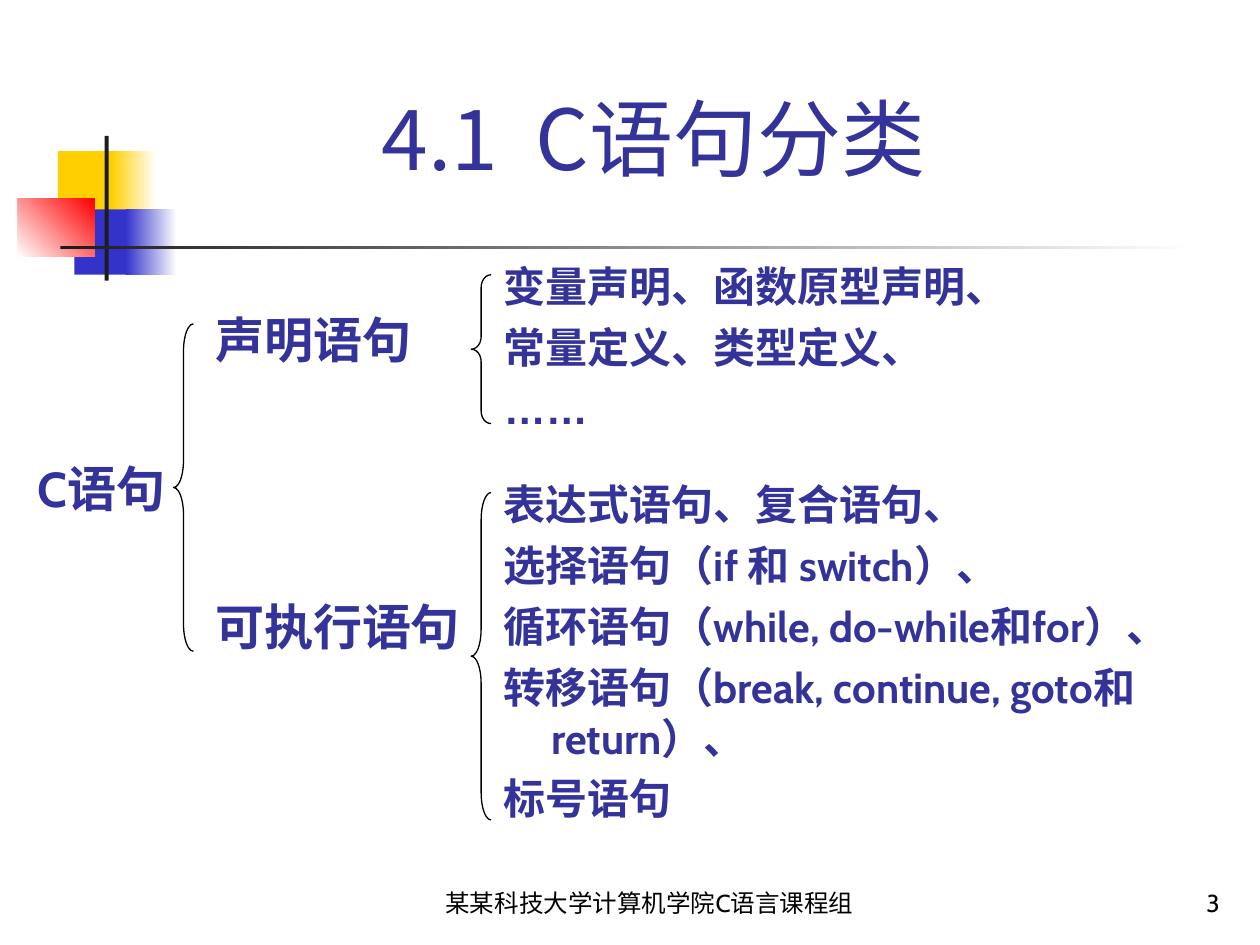
"""Build the slide that classifies C statements with nested braces."""
from pptx import Presentation
from pptx import util as u
from pptx.dml.color import RGBColor
from pptx.enum import lang, shapes, text


def rgb(value):
    return RGBColor.from_string(value)


def write(tf, lines, size, color, font="Cabin", bold=False, align="LEFT", anchor="TOP", before=0, hang=0):
    tf.word_wrap = True
    tf.auto_size = text.MSO_AUTO_SIZE.NONE
    tf.vertical_anchor = text.MSO_ANCHOR[anchor]
    for i, line in enumerate(lines):
        p = tf.add_paragraph() if i else tf.paragraphs[0]
        p.alignment = text.PP_ALIGN[align]
        p.space_before = u.Pt(before)
        if hang:
            pPr = p._p.get_or_add_pPr()
            pPr.set("marL", str(u.Cm(hang)))
            pPr.set("indent", str(-u.Cm(hang)))
        r = p.add_run()
        r.text = line
        r.font.name = "Arial" if line == "……" else font
        r.font.size = u.Pt(size)
        r.font.bold = bold
        r.font.color.rgb = rgb(color)
        r.font.language_id = lang.MSO_LANGUAGE_ID.SIMPLIFIED_CHINESE


prs = Presentation()
prs.slide_width, prs.slide_height = u.Cm(25.4), u.Cm(19.05)
s = prs.slides.add_slide(prs.slide_layouts[5])

decor = [
    (1.17, 3.05, 1.22, 1.32, ["FFCF01"], 0),
    (2.24, 3.05, 0.91, 1.32, ["FFCF01", "FFFFFF"], 0),
    (1.5, 4.22, 1.17, 1.32, ["3333CC"], 0),
    (2.54, 4.22, 1.02, 1.32, ["3333CC", "FFFFFF"], 0),
    (0.36, 4.01, 1.55, 1.17, ["FFFFFF", "FF0000"], 45),
    (2.11, 2.74, 0.08, 2.92, ["1C1C1C"], 0),
    (1.22, 4.95, 22.86, 0.08, ["1C1C1C", "FFFFFF"], 0),
]
for x, y, w, h, colors, angle in decor:
    sp = s.shapes.add_shape(shapes.MSO_SHAPE.RECTANGLE, u.Cm(x), u.Cm(y), u.Cm(w), u.Cm(h))
    sp.shadow.inherit = False
    sp.line.fill.background()
    if len(colors) == 1:
        sp.fill.solid()
        sp.fill.fore_color.rgb = rgb(colors[0])
    else:
        sp.fill.gradient()
        sp.fill.gradient_angle = angle
        for stop, color in zip(sp.fill.gradient_stops, colors):
            stop.color.rgb = rgb(color)

title = s.shapes.title
title.left, title.top, title.width, title.height = u.Cm(1.5), u.Cm(0.58), u.Cm(23.34), u.Cm(3.33)
write(title.text_frame, ["4.1  C语句分类"], 48, "333399", "Noto Sans CJK SC", align="CENTER", anchor="BOTTOM")

footers = [
    (7.29, 11.61, "某某科技大学计算机学院C语言课程组", "CENTER"),
    (19.56, 5.28, "3", "RIGHT"),
]
for x, w, line, align in footers:
    sp = s.shapes.add_textbox(u.Cm(x), u.Cm(17.35), u.Cm(w), u.Cm(1.27))
    write(sp.text_frame, [line], 14, "000000", align=align, anchor="BOTTOM")

groups = [
    (0.51, 9.12, 3.4, 1.6, 28, 7, ["C语句"]),
    (4.09, 6.12, 4.6, 1.6, 28, 7, ["声明语句"]),
    (4.09, 11.91, 5.79, 1.6, 28, 7, ["可执行语句"]),
    (9.91, 5.13, 11.2, 3.81, 24, 6, ["变量声明、函数原型声明、", "常量定义、类型定义、", "……"]),
    (9.91, 9.53, 15.49, 7.59, 24, 6, [
        "表达式语句、复合语句、",
        "选择语句（if 和 switch）、",
        "循环语句（while, do-while和for）、",
        "转移语句（break, continue, goto和return）、",
        "标号语句",
    ]),
]
for x, y, w, h, size, before, lines in groups:
    sp = s.shapes.add_textbox(u.Cm(x), u.Cm(y), u.Cm(w), u.Cm(h))
    write(sp.text_frame, lines, size, "333399", bold=True, before=before, hang=0.95)

brace_w = 0.4
for x, y, h in [(3.5, 6.53, 6.6), (9.5, 5.54, 3), (9.5, 9.93, 6.6)]:
    sp = s.shapes.add_shape(shapes.MSO_SHAPE.LEFT_BRACE, u.Cm(x), u.Cm(y), u.Cm(brace_w), u.Cm(h))
    sp.adjustments[0] = h / 12 / brace_w
    sp.shadow.inherit = False
    sp.fill.background()
    sp.line.color.rgb = rgb("000000")
    sp.line.width = u.Pt(0.75)

prs.save("out.pptx")
